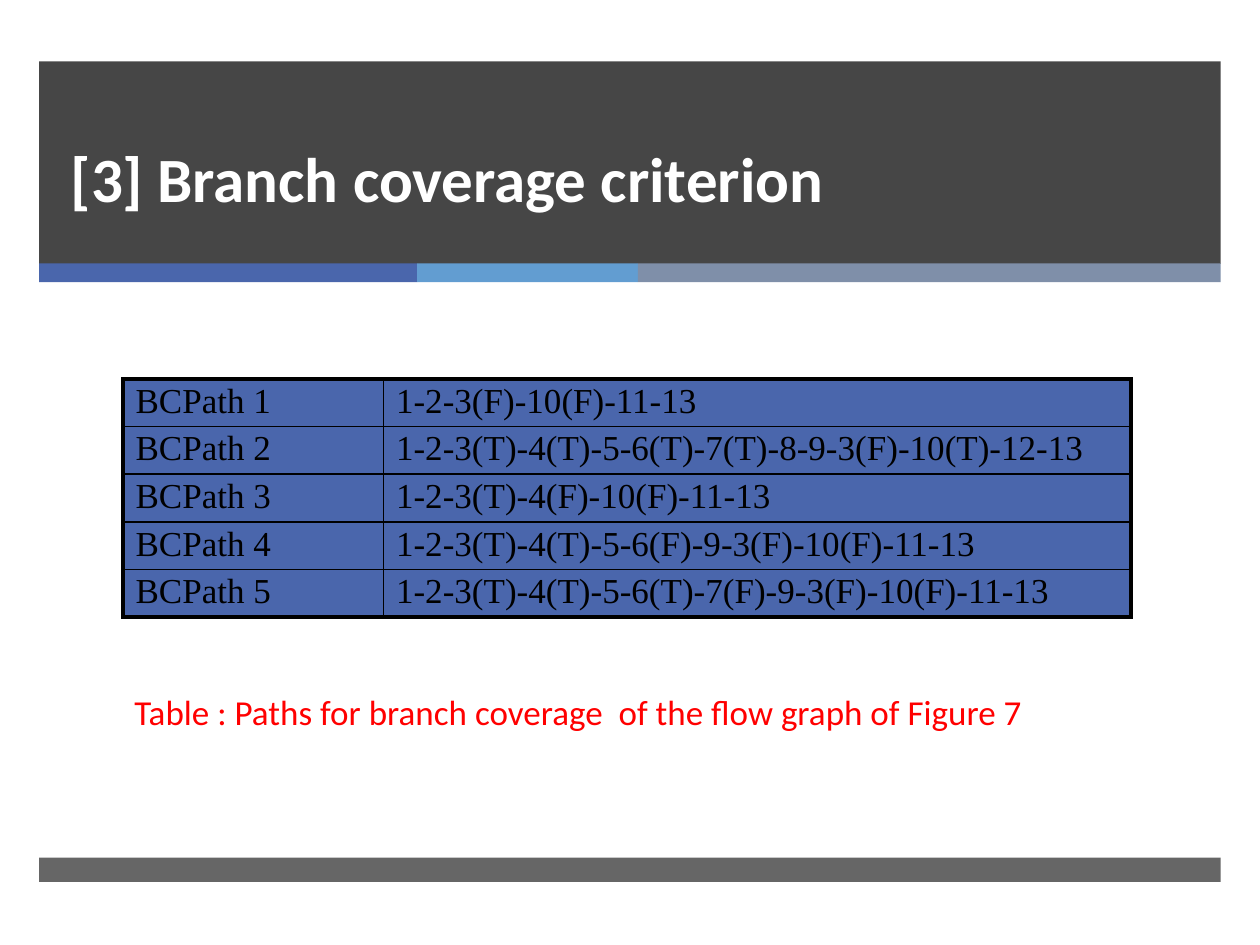
from dataclasses import dataclass

from pptx import Presentation
from pptx.dml.color import RGBColor as RGB
from pptx.enum.shapes import MSO_SHAPE as Shape
from pptx.enum.text import MSO_ANCHOR as Anchor, MSO_AUTO_SIZE as AutoSize, PP_ALIGN as Align
from pptx.oxml.ns import qn
from pptx.util import Cm, Pt
from lxml.etree import SubElement, Element


@dataclass(frozen=True)
class Theme:
    dark: str = "262626"
    blue: str = "4A66AC"
    sky: str = "629DD1"
    slate: str = "7F8FA9"
    white: str = "FFFFFF"
    black: str = "000000"
    red: str = "FF0000"
    sans: str = "Calibri"
    serif: str = "Times New Roman"
    title_size: float = 36
    text_size: float = 20
    outer_line: float = 2.25
    inner_line: float = 1


@dataclass(frozen=True)
class Bar:
    left: float
    top: float
    width: float
    height: float
    color: str
    opacity: int = 100


THEME = Theme()
BARS = [
    Bar(0.79, 1.24, 23.82, 4.08, THEME.dark, 85),
    Bar(0.79, 5.31, 7.62, 0.38, THEME.blue),
    Bar(8.41, 5.31, 4.45, 0.38, THEME.sky),
    Bar(12.86, 5.31, 11.75, 0.38, THEME.slate),
    Bar(0.79, 17.29, 23.82, 0.49, THEME.dark, 70),
]
PATHS = [
    "1-2-3(F)-10(F)-11-13",
    "1-2-3(T)-4(T)-5-6(T)-7(T)-8-9-3(F)-10(T)-12-13",
    "1-2-3(T)-4(F)-10(F)-11-13",
    "1-2-3(T)-4(T)-5-6(F)-9-3(F)-10(F)-11-13",
    "1-2-3(T)-4(T)-5-6(T)-7(F)-9-3(F)-10(F)-11-13",
]
COLUMN_WIDTHS = (5.25, 15.07)
ROW_HEIGHT = 0.96


def style_text(p, font: str, size: float, color: str, bold: bool = False) -> None:
    p.alignment = Align.LEFT
    for r in p.runs:
        r.font.name = font
        r.font.size = Pt(size)
        r.font.bold = bold
        r.font.color.rgb = RGB.from_string(color)


def draw_bar(slide, bar: Bar) -> None:
    sp = slide.shapes.add_shape(
        Shape.RECTANGLE, Cm(bar.left), Cm(bar.top), Cm(bar.width), Cm(bar.height))
    sp.shadow.inherit = False
    sp.line.fill.background()
    sp.fill.solid()
    sp.fill.fore_color.rgb = RGB.from_string(bar.color)
    if bar.opacity < 100:
        color = sp.element.spPr.find(qn("a:solidFill"))[0]
        SubElement(color, qn("a:alpha"), val=str(bar.opacity * 1000))


def set_borders(cell, widths: dict[str, float]) -> None:
    """Border lines have to precede the fill in the cell properties."""
    tc_pr = cell.fill._xPr
    for i, (side, width) in enumerate(widths.items()):
        ln = Element(qn(f"a:ln{side}"), w=str(Pt(width)))
        fill = SubElement(ln, qn("a:solidFill"))
        SubElement(fill, qn("a:srgbClr"), val=THEME.black)
        tc_pr.insert(i, ln)


def draw_title(slide, text: str) -> None:
    title = slide.shapes.title
    title.left, title.top, title.width, title.height = Cm(1.17), Cm(1.78), Cm(21.69), Cm(2.69)
    tf = title.text_frame
    tf.text = text
    tf.auto_size = AutoSize.NONE
    tf.vertical_anchor = Anchor.BOTTOM
    p = tf.paragraphs[0]
    p.line_spacing = Pt(46)
    style_text(p, THEME.sans, THEME.title_size, THEME.white, bold=True)
    slide.shapes.element.append(title.element)  # in front of the dark band


def draw_table(slide, paths: list[str]) -> None:
    last_row, last_col = len(paths) - 1, len(COLUMN_WIDTHS) - 1
    table = slide.shapes.add_table(
        len(paths), len(COLUMN_WIDTHS), Cm(2.48), Cm(7.64),
        Cm(sum(COLUMN_WIDTHS)), Cm(ROW_HEIGHT * len(paths))).table
    table.first_row = table.horz_banding = False
    for column, width in zip(table.columns, COLUMN_WIDTHS):
        column.width = Cm(width)
    for i, path_text in enumerate(paths):
        table.rows[i].height = Cm(ROW_HEIGHT)
        for j, text in enumerate((f"BCPath {i + 1}", path_text)):
            cell = table.cell(i, j)
            cell.text = text
            cell.margin_bottom = Cm(0.08)
            cell.fill.solid()
            cell.fill.fore_color.rgb = RGB.from_string(THEME.blue)
            p = cell.text_frame.paragraphs[0]
            p.line_spacing = 0.9
            style_text(p, THEME.serif, THEME.text_size, THEME.black)
            on_edge = {"L": j == 0, "R": j == last_col, "T": i == 0, "B": i == last_row}
            set_borders(cell, {side: THEME.outer_line if edge else THEME.inner_line
                               for side, edge in on_edge.items()})


def draw_caption(slide, text: str) -> None:
    tf = slide.shapes.add_textbox(Cm(2.46), Cm(13.79), Cm(20.4), Cm(1.12)).text_frame
    tf.word_wrap = True
    tf.text = text
    style_text(tf.paragraphs[0], THEME.sans, THEME.text_size, THEME.red)


def main() -> None:
    prs = Presentation()
    prs.slide_width, prs.slide_height = Cm(25.4), Cm(19.05)
    slide = prs.slides.add_slide(prs.slide_layouts[5])  # title only

    # Bands above and below the content
    for bar in BARS:
        draw_bar(slide, bar)

    # Content
    draw_title(slide, "[3] Branch coverage criterion")
    draw_table(slide, PATHS)
    draw_caption(slide, "Table : Paths for branch coverage  of the flow graph of Figure 7")

    prs.save("out.pptx")


if __name__ == "__main__":
    main()
